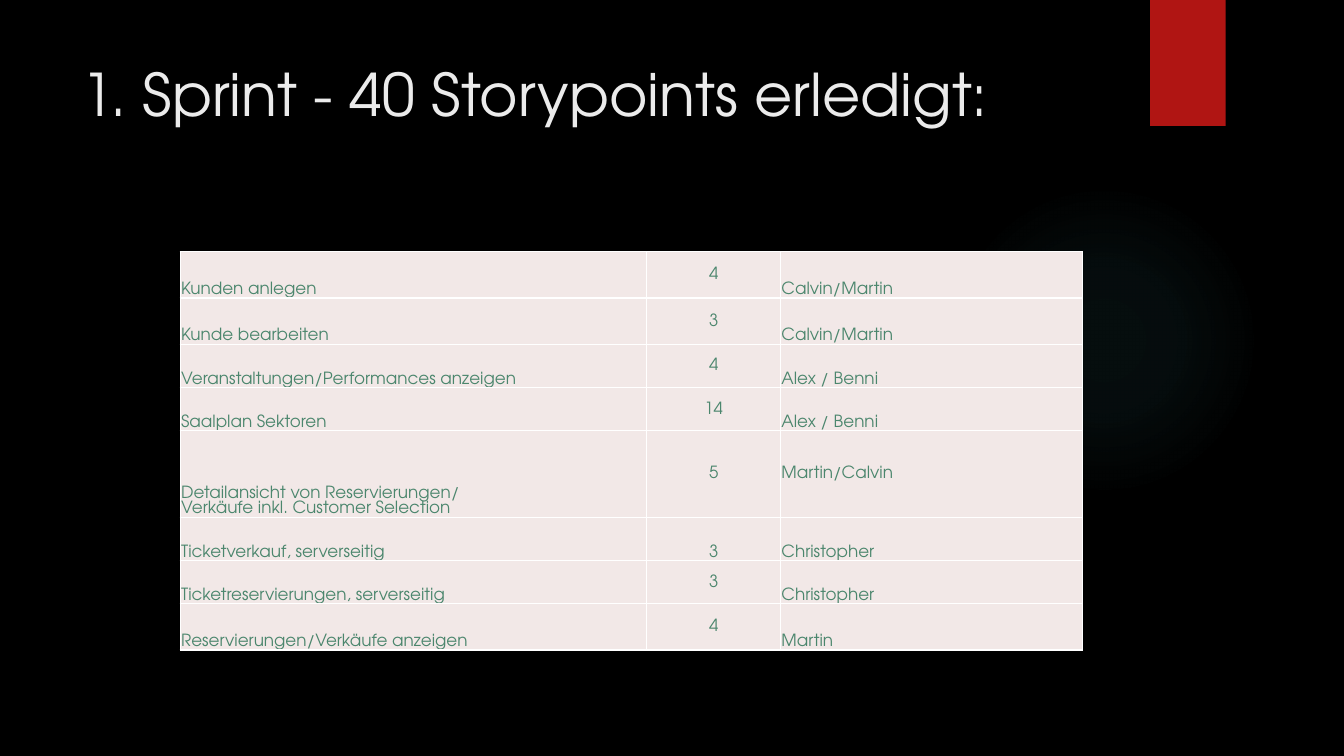
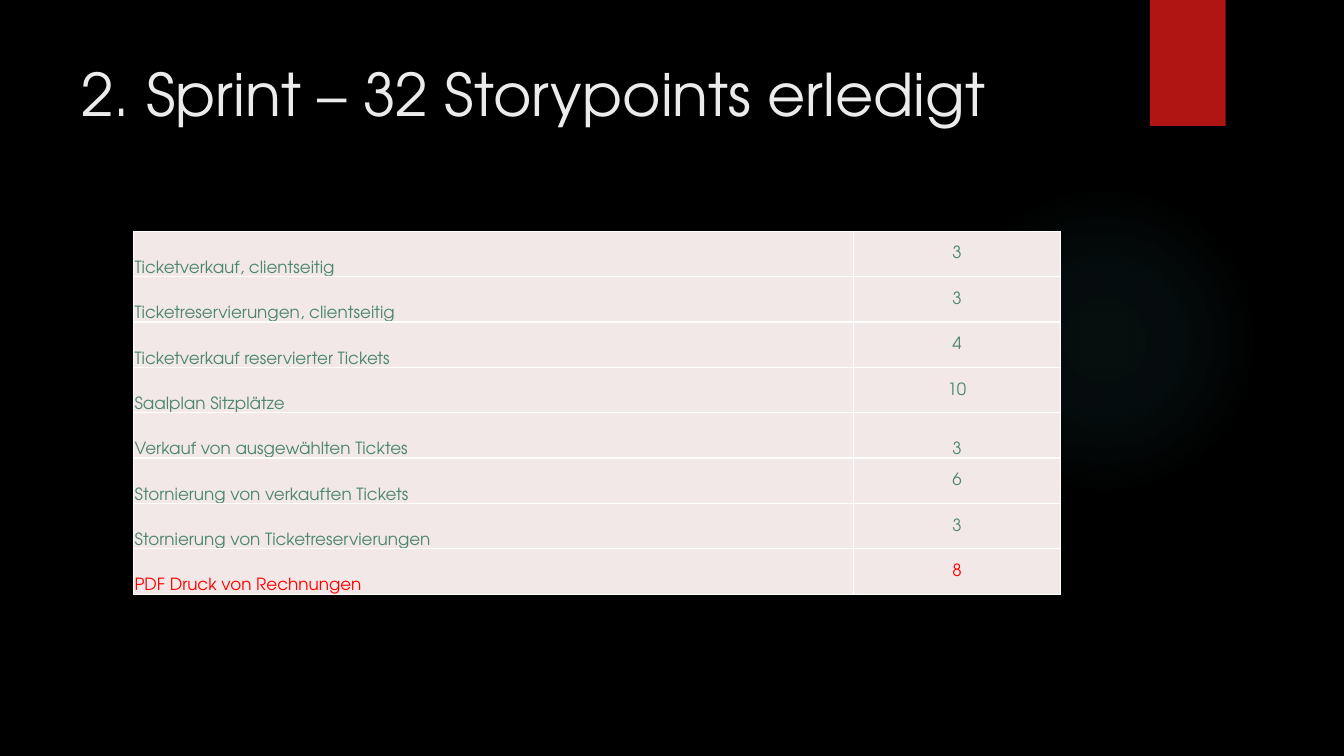
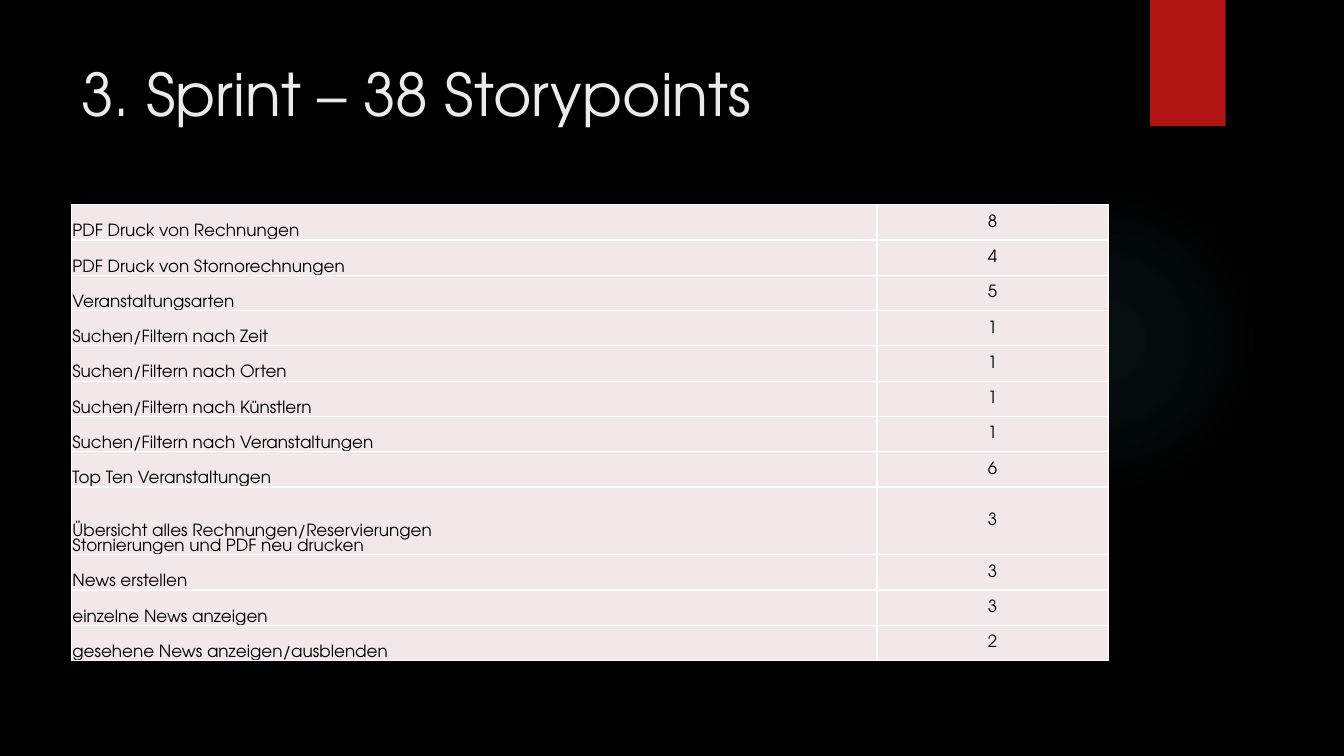
from lxml import etree
from pptx import Presentation
from pptx import util as u
from pptx.dml.color import RGBColor
from pptx.enum import shapes, text
from pptx.oxml import ns

FONT = "TeX Gyre Adventor"
BLACK, WHITE, RED = "000000", "FFFFFF", "FF0000"
TITLE, BAND, GLOW = "EBEBEB", "B01513", "50B9C1"
CELL, GREEN = "F2E8E7", "4B866D"
GLOW_STOPS = [(0, 7), (36, 6), (69, 0)]
BOTTOM, MIDDLE = text.MSO_ANCHOR.BOTTOM, text.MSO_ANCHOR.MIDDLE
LEFT, CENTER = text.PP_ALIGN.LEFT, text.PP_ALIGN.CENTER


def color(value):
    return RGBColor.from_string(value)


def set_values(target, values):
    for name, value in values.items():
        setattr(target, name, value)


def child(parent, tag, **attributes):
    return etree.SubElement(parent, ns.qn(tag), **attributes)


class SprintDeck:
    def __init__(self):
        self.deck = Presentation()
        set_values(self.deck, {"slide_width": u.Pt(960), "slide_height": u.Pt(540)})

    def add_page(self, title):
        self.page = self.deck.slides.add_slide(self.deck.slide_layouts[6])
        fill = self.page.background.fill
        fill.solid()
        fill.fore_color.rgb = color(BLACK)
        self.add_glow()
        self.add_shape(shapes.MSO_SHAPE.RECTANGLE, 821.5, 0, 54, 90, BAND)
        self.add_title(title)

    def add_shape(self, kind, left, top, width, height, fill):
        shape = self.page.shapes.add_shape(kind, *map(u.Pt, (left, top, width, height)))
        shape.shadow.inherit = False
        shape.line.fill.background()
        shape.fill.solid()
        shape.fill.fore_color.rgb = color(fill)
        return shape

    def add_glow(self):
        glow = self.add_shape(shapes.MSO_SHAPE.OVAL, 677.5, 132, 222, 222, GLOW)
        solid = glow.element.spPr.find(ns.qn("a:solidFill"))
        gradient = etree.Element(ns.qn("a:gradFill"), rotWithShape="1")
        stops = child(gradient, "a:gsLst")
        for position, alpha in GLOW_STOPS:
            stop = child(stops, "a:gs", pos=str(position * 1000))
            tint = child(stop, "a:srgbClr", val=GLOW)
            child(tint, "a:alpha", val=str(alpha * 1000))
        circle = child(gradient, "a:path", path="circle")
        child(circle, "a:fillToRect", l="50000", t="50000", r="50000", b="50000")
        solid.getparent().replace(solid, gradient)

    def fill_para(self, para, words, size, ink, spacing, align=LEFT):
        para.text = words
        set_values(para, {"alignment": align, "line_spacing": u.Pt(spacing)})
        for span in para.runs:
            set_values(span.font, {"name": FONT, "size": u.Pt(size)})
            span.font.color.rgb = color(ink)

    def add_title(self, words):
        box = self.page.shapes.add_textbox(*map(u.Pt, (51, 36, 741, 110)))
        set_values(box.text_frame, {"word_wrap": True, "vertical_anchor": text.MSO_ANCHOR.TOP})
        self.fill_para(box.text_frame.paragraphs[0], words, 42, TITLE, 52)

    def add_borders(self, cell):
        properties = cell._tc.get_or_add_tcPr()
        for index, side in enumerate(("a:lnL", "a:lnR", "a:lnT", "a:lnB")):
            line = etree.Element(ns.qn(side), w=str(u.Pt(1)))
            child(child(line, "a:solidFill"), "a:srgbClr", val=WHITE)
            properties.insert(index, line)

    def add_table(self, left, top, widths, heights, rows, ink, anchors={}, inks={}):
        frame = self.page.shapes.add_table(
            len(rows), len(widths), u.Pt(left), u.Pt(top),
            u.Pt(sum(widths)), u.Pt(sum(heights)))
        table = frame.table
        set_values(table, {"first_row": False, "horz_banding": False})
        for column, width in zip(table.columns, widths):
            column.width = u.Pt(width)
        for r, (row, height) in enumerate(zip(rows, heights)):
            table.rows[r].height = u.Pt(height)
            for c, words in enumerate(row):
                points = c == 1
                cell = table.cell(r, c)
                set_values(cell, {
                    "margin_left": u.Pt(0.72), "margin_top": u.Pt(0.72),
                    "margin_right": u.Pt(0.72), "margin_bottom": 0,
                    "vertical_anchor": anchors.get((r, c), MIDDLE if points else BOTTOM)})
                cell.fill.solid()
                cell.fill.fore_color.rgb = color(CELL)
                self.add_borders(cell)
                self.fill_para(cell.text_frame.paragraphs[0], words, 12,
                               inks.get(r, ink), 11, CENTER if points else LEFT)


sprints = SprintDeck()

sprints.add_page("1. Sprint - 40 Storypoints erledigt:")
sprints.add_table(128.7, 179.8, [333.4, 95.4, 215.6], [33, 33, 31, 31, 61.6, 31, 31, 33], [
    ("Kunden anlegen", "4", "Calvin/Martin"),
    ("Kunde bearbeiten", "3", "Calvin/Martin"),
    ("Veranstaltungen/Performances anzeigen", "4", "Alex / Benni"),
    ("Saalplan Sektoren", "14", "Alex / Benni"),
    ("Detailansicht von Reservierungen/\vVerkäufe inkl. Customer Selection", "5", "Martin/Calvin"),
    ("Ticketverkauf, serverseitig", "3", "Christopher"),
    ("Ticketreservierungen, serverseitig", "3", "Christopher"),
    ("Reservierungen/Verkäufe anzeigen", "4", "Martin"),
], GREEN, anchors={(4, 2): MIDDLE, (5, 1): BOTTOM})

sprints.add_page("2. Sprint – 32 Storypoints erledigt")
sprints.add_table(95.4, 165.2, [514.2, 148], [32.4] * 8, [
    ("Ticketverkauf, clientseitig", "3"),
    ("Ticketreservierungen, clientseitig", "3"),
    ("Ticketverkauf reservierter Tickets", "4"),
    ("Saalplan Sitzplätze", "10"),
    ("Verkauf von ausgewählten Ticktes", "3"),
    ("Stornierung von verkauften Tickets", "6"),
    ("Stornierung von Ticketreservierungen", "3"),
    ("PDF Druck von Rechnungen", "8"),
], GREEN, anchors={(4, 1): BOTTOM}, inks={7: RED})

sprints.add_page("3. Sprint – 38 Storypoints")
sprints.add_table(51, 146.2, [575.4, 165.2], [25.2] * 8 + [48.4] + [25.2] * 3, [
    ("PDF Druck von Rechnungen", "8"),
    ("PDF Druck von Stornorechnungen", "4"),
    ("Veranstaltungsarten", "5"),
    ("Suchen/Filtern nach Zeit", "1"),
    ("Suchen/Filtern nach Orten", "1"),
    ("Suchen/Filtern nach Künstlern", "1"),
    ("Suchen/Filtern nach Veranstaltungen", "1"),
    ("Top Ten Veranstaltungen", "6"),
    ("Übersicht alles Rechnungen/Reservierungen\vStornierungen und PDF neu drucken", "3"),
    ("News erstellen", "3"),
    ("einzelne News anzeigen", "3"),
    ("gesehene News anzeigen/ausblenden", "2"),
], BLACK)

sprints.deck.save("out.pptx")
